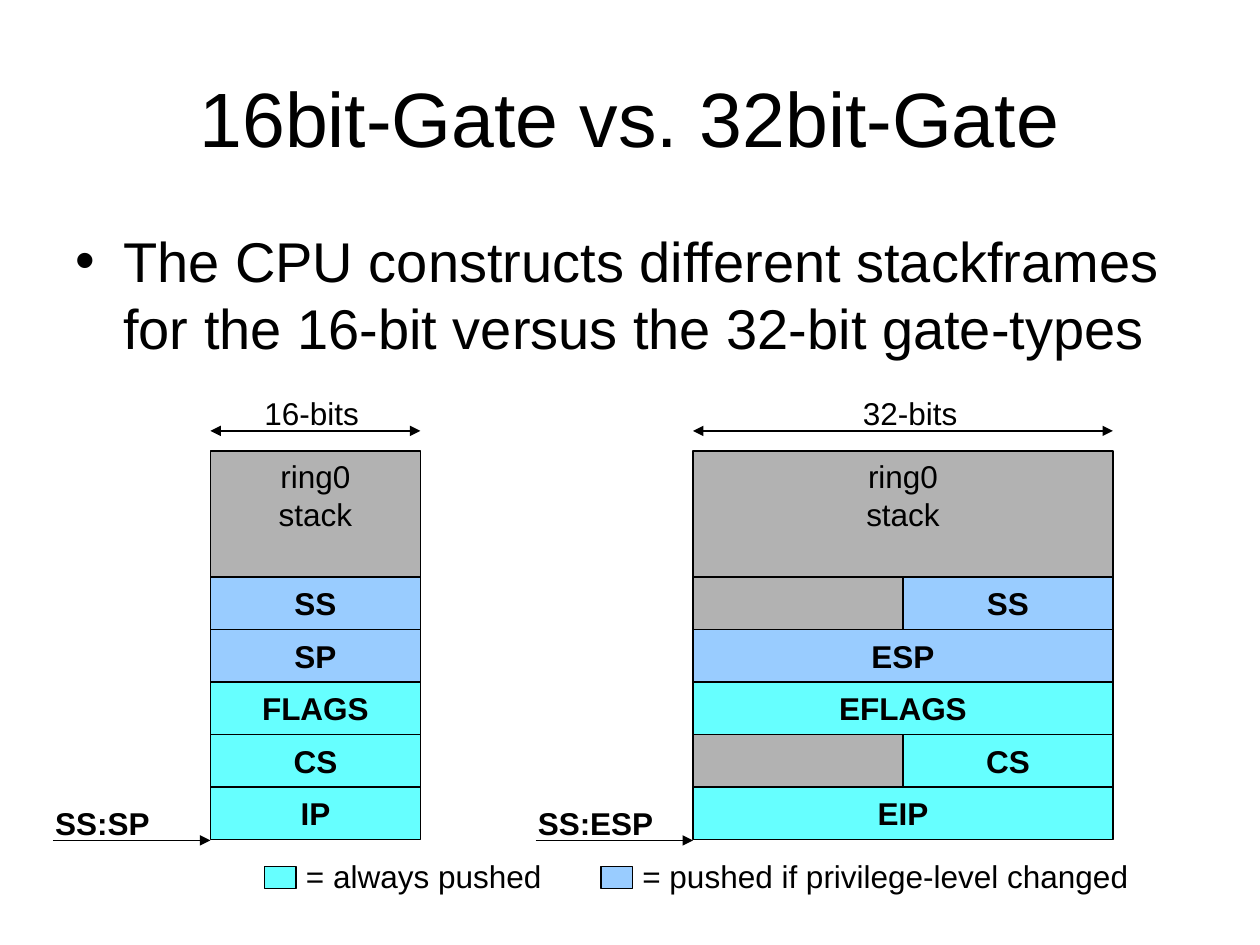
from lxml import etree
from pptx import Presentation
from pptx.dml.color import RGBColor
from pptx.enum.shapes import MSO_CONNECTOR, MSO_SHAPE
from pptx.enum.text import MSO_ANCHOR, PP_ALIGN
from pptx.oxml.ns import qn
from pptx.util import Inches, Pt

RECTANGLE = MSO_SHAPE.RECTANGLE
STRAIGHT = MSO_CONNECTOR.STRAIGHT
TOP, MIDDLE = MSO_ANCHOR.TOP, MSO_ANCHOR.MIDDLE
LEFT, CENTER = PP_ALIGN.LEFT, PP_ALIGN.CENTER

COLORS = {"ink": "000000", "stack": "B2B2B2", "always": "66FFFF", "privilege": "99CCFF"}

WORD = 5 / 3  # width of 16 bits
ROW = 5 / 12  # height of one stack entry
STACK_TOP, FRAME_TOP, FRAME_BOTTOM = 3.58, 4.58, 6.67
ARROW_Y = 3.42

presentation = Presentation()
presentation.slide_width, presentation.slide_height = Inches(10), Inches(7.5)
slide = presentation.slides.add_slide(presentation.slide_layouts[6])


def write(text, left, top, width, height, fill=None, size=18, bold=False,
          align=LEFT, anchor=TOP, bullet=False):
    """Add text in a plain box, or in an outlined rectangle if fill is given."""
    box = [Inches(value) for value in (left, top, width, height)]
    if fill:
        shape = slide.shapes.add_shape(RECTANGLE, *box)
        shape.shadow.inherit = False
        shape.fill.solid()
        shape.fill.fore_color.rgb = RGBColor.from_string(COLORS[fill])
        shape.line.color.rgb = RGBColor.from_string(COLORS["ink"])
        shape.line.width = Pt(0.75)
    else:
        shape = slide.shapes.add_textbox(*box)
    if not text:
        return
    frame = shape.text_frame
    frame.word_wrap = True
    frame.vertical_anchor = anchor
    frame.text = text
    for paragraph in frame.paragraphs:
        paragraph.alignment = align
        font = paragraph.runs[0].font
        font.name, font.size, font.bold = "Arial", Pt(size), bold
        font.color.rgb = RGBColor.from_string(COLORS["ink"])
        if bullet:
            paragraph.space_before = Pt(8)
            properties = paragraph._p.get_or_add_pPr()
            properties.set("marL", str(Inches(0.38)))
            properties.set("indent", str(Inches(-0.38)))
            etree.SubElement(properties, qn("a:buFont")).set("typeface", "Arial")
            etree.SubElement(properties, qn("a:buChar")).set("char", "•")


def arrow(start, end, y, ends=("tailEnd",)):
    connector = slide.shapes.add_connector(
        STRAIGHT, Inches(start), Inches(y), Inches(end), Inches(y))
    connector.line.color.rgb = RGBColor.from_string(COLORS["ink"])
    connector.line.width = Pt(0.75)
    line = connector.line._get_or_add_ln()
    for name in ends:
        etree.SubElement(line, qn(f"a:{name}")).set("type", "triangle")
    etree.SubElement(connector._element.spPr, qn("a:effectLst"))


# Title and bullet
write("16bit-Gate vs. 32bit-Gate", 0.5, 0.3, 9, 1.25, size=44,
      align=CENTER, anchor=MIDDLE)
write("The CPU constructs different stackframes for the 16-bit versus the 32-bit gate-types",
      0.5, 1.75, 9, 1.25, size=32, bullet=True)

# Stack frames: left edge, width in words, width label and its left edge,
# pointer label, entries as (name, fill, words used)
frames = [
    (1.67, 1, "16-bits", 2, "SS:SP",
     [("SS", "privilege", 1), ("SP", "privilege", 1), ("FLAGS", "always", 1),
      ("CS", "always", 1), ("IP", "always", 1)]),
    (5.5, 2, "32-bits", 6.75, "SS:ESP",
     [("SS", "privilege", 1), ("ESP", "privilege", 2), ("EFLAGS", "always", 2),
      ("CS", "always", 1), ("EIP", "always", 2)]),
]
for left, words, bits, bits_left, pointer, entries in frames:
    width = words * WORD
    write("ring0\nstack", left, STACK_TOP, width, FRAME_TOP - STACK_TOP,
          fill="stack", align=CENTER)
    for index, (name, fill, used) in enumerate(entries):
        top = FRAME_TOP + index * ROW
        unused = (words - used) * WORD
        if unused:
            write("", left, top, width, ROW, fill="stack")
        write(name, left + unused, top, used * WORD, ROW, fill=fill,
              bold=True, align=CENTER, anchor=MIDDLE)

    # Width measure and stack pointer
    write(bits, bits_left, 3.08, 1.1, 0.4)
    arrow(left, left + width, ARROW_Y, ends=("headEnd", "tailEnd"))
    write(pointer, left - 1.33, 6.33, 1.3, 0.4, bold=True)
    arrow(left - 1.25, left, FRAME_BOTTOM)

# Legend
for left, fill, meaning, width in [
    (2.1, "always", "= always pushed", 2.25),
    (4.77, "privilege", "= pushed if privilege-level changed", 4.3),
]:
    write("", left, 6.88, 0.25, 0.17, fill=fill)
    write(meaning, left + 0.23, 6.75, width, 0.4)

presentation.save("out.pptx")
